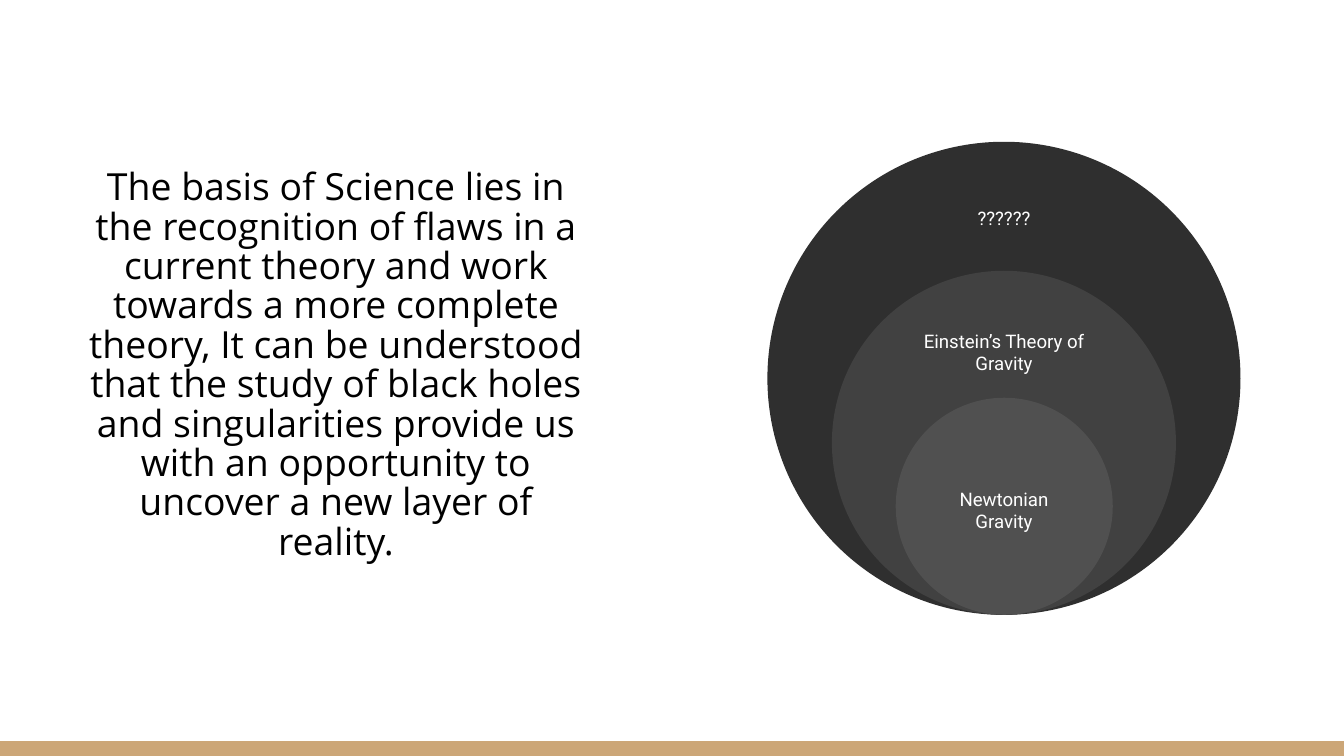
from typing import NamedTuple

from pptx import Presentation
from pptx.dml.color import RGBColor
from pptx.enum.shapes import MSO_SHAPE
from pptx.enum.text import MSO_ANCHOR, PP_ALIGN
from pptx.util import Emu, Pt

PX = 4572  # EMU per px, 200 px to the inch
SLIDE_W, SLIDE_H = 2000, 1125
BAND_H = 22
CIRCLE_CENTER, CIRCLE_BOTTOM = 1494, 915


class Box(NamedTuple):
    left: int
    top: int
    width: int
    height: int


class Layer(NamedTuple):
    diameter: int
    fill: str
    label_top: int
    label_width: int
    label_height: int
    lines: tuple[str, ...]


STATEMENT = (
    "The basis of Science lies in the recognition of flaws in a current theory "
    "and work towards a more complete theory, It can be understood that the "
    "study of black holes and singularities provide us with an opportunity to "
    "uncover a new layer of reality."
)

LAYERS = (
    Layer(704, "2F2F2F", 262, 346, 124, ("??????",)),
    Layer(512, "414141", 466, 324, 116, ("Einstein’s Theory of Gravity",)),
    Layer(323, "505050", 688, 270, 142, ("Newtonian", "Gravity")),
)


def color(hex_value: str) -> RGBColor:
    return RGBColor.from_string(hex_value)


def emu(box: Box) -> list[Emu]:
    return [Emu(length * PX) for length in box]


def centered(width: int, top: int, height: int) -> Box:
    return Box(CIRCLE_CENTER - width // 2, top, width, height)


def add_filled(slide, kind: MSO_SHAPE, box: Box, fill: str) -> None:
    shape = slide.shapes.add_shape(kind, *emu(box))
    shape.shadow.inherit = False
    shape.fill.solid()
    shape.fill.fore_color.rgb = color(fill)
    shape.line.fill.background()


def add_text(slide, box: Box, lines: tuple[str, ...], font: str, size: int,
             ink: str, spacing: float = 1.0) -> None:
    frame = slide.shapes.add_textbox(*emu(box)).text_frame
    frame.word_wrap = True
    frame.vertical_anchor = MSO_ANCHOR.MIDDLE
    frame.margin_left = frame.margin_right = Emu(20 * PX)
    frame.margin_top = frame.margin_bottom = Emu(20 * PX)
    for index, line in enumerate(lines):
        paragraph = frame.add_paragraph() if index else frame.paragraphs[0]
        paragraph.alignment = PP_ALIGN.CENTER
        paragraph.line_spacing = spacing
        run = paragraph.add_run()
        run.text = line
        run.font.name = font
        run.font.size = Pt(size)
        run.font.color.rgb = color(ink)


def add_layer(slide, layer: Layer) -> None:
    circle = centered(layer.diameter, CIRCLE_BOTTOM - layer.diameter, layer.diameter)
    add_filled(slide, MSO_SHAPE.OVAL, circle, layer.fill)
    label = centered(layer.label_width, layer.label_top, layer.label_height)
    add_text(slide, label, layer.lines, "Roboto", 10, "FFFFFF")


def main() -> None:
    deck = Presentation()
    deck.slide_width, deck.slide_height = Emu(SLIDE_W * PX), Emu(SLIDE_H * PX)
    slide = deck.slides.add_slide(deck.slide_layouts[6])

    # Bottom band
    band = Box(0, SLIDE_H - BAND_H, SLIDE_W, BAND_H)
    add_filled(slide, MSO_SHAPE.RECTANGLE, band, "CCA677")

    # Statement on the left
    add_text(slide, Box(108, 98, 784, 894), (STATEMENT,),
             "Open Sans", 20, "000000", spacing=0.88)

    # Nested theories, outermost first, all resting on the same point
    for layer in LAYERS:
        add_layer(slide, layer)

    deck.save("out.pptx")


if __name__ == "__main__":
    main()
